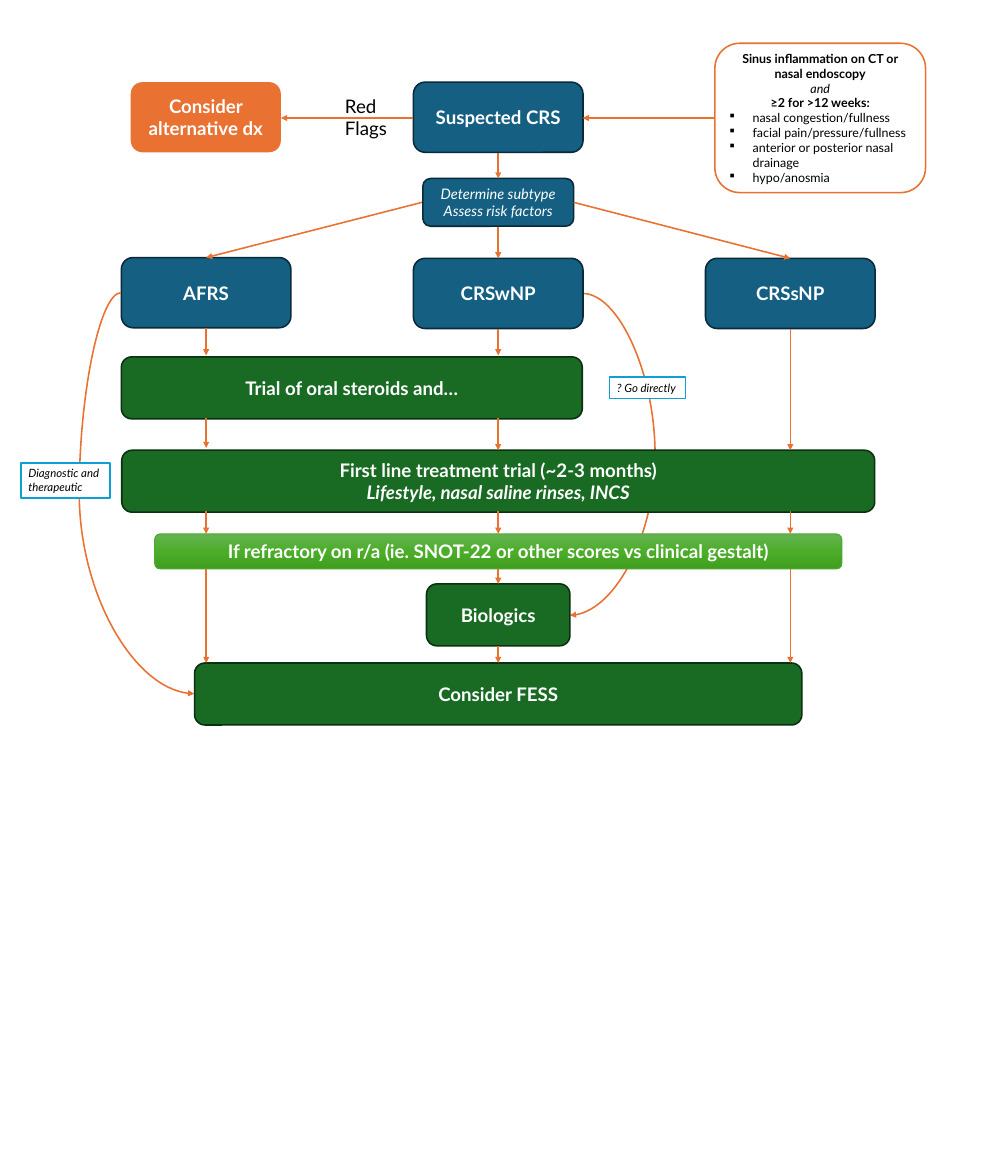
from copy import deepcopy

from pptx import Presentation
from pptx.dml.color import RGBColor
from pptx.enum.shapes import MSO_CONNECTOR as Connector, MSO_SHAPE as Shape
from pptx.enum.text import MSO_ANCHOR as Anchor, MSO_AUTO_SIZE as AutoSize, PP_ALIGN as Align
from pptx.oxml.ns import qn
from pptx.oxml.xmlchemy import OxmlElement
from pptx.util import Inches, Pt

ORANGE, BLUE, BLUE_EDGE = "E97132", "156082", "092A39"
GREEN, GREEN_EDGE, CYAN = "196B24", "0B2F10", "0F9ED5"
WHITE, BLACK = "FFFFFF", "000000"
LEFT, MIDDLE, RIGHT = 2.76, 6.67, 10.58
BOX_WIDTH, BOX_HEIGHT, BAR_HEIGHT = 2.27, 0.94, 0.83


def color(value):
    return RGBColor.from_string(value)


def add_child(parent, tag, **attributes):
    child = OxmlElement(tag)
    for name, value in attributes.items():
        child.set(name, value)
    parent.append(child)
    return child


def write(frame, lines, size, text_color, align, anchor):
    frame.word_wrap = True
    frame.vertical_anchor = anchor
    for index, (text, style) in enumerate(lines):
        paragraph = frame.paragraphs[0] if index == 0 else frame.add_paragraph()
        paragraph.alignment = align
        if "bullet" in style:
            add_bullet(paragraph)
        run = paragraph.add_run()
        run.text = text
        run.font.name = "Lato"
        run.font.size = Pt(size)
        run.font.bold = "bold" in style
        run.font.italic = "italic" in style
        run.font.color.rgb = color(text_color)


def add_bullet(paragraph):
    paragraph.alignment = Align.LEFT
    properties = paragraph._p.get_or_add_pPr()
    properties.set("marL", str(Inches(0.31)))
    properties.set("indent", str(-Inches(0.31)))
    add_child(properties, "a:buFont", typeface="Wingdings", pitchFamily="2", charset="2")
    add_child(properties, "a:buChar", char="§")


def add_box(slide, left, top, width, height, lines, fill, edge=None, size=18,
            text_color=WHITE, kind=Shape.ROUNDED_RECTANGLE, align=Align.CENTER,
            anchor=Anchor.MIDDLE):
    shape = slide.shapes.add_shape(kind, Inches(left), Inches(top), Inches(width), Inches(height))
    shape.shadow.inherit = False
    shape.fill.solid()
    shape.fill.fore_color.rgb = color(fill)
    if edge:
        shape.line.color.rgb = color(edge)
        shape.line.width = Pt(1.5)
    else:
        shape.line.fill.background()
    write(shape.text_frame, lines, size, text_color, align, anchor)
    return shape


def add_centered(slide, center, top, width, height, lines, fill, edge, size=18):
    return add_box(slide, center - width / 2, top, width, height, lines, fill, edge, size)


def add_label(slide, left, top, width, height, text):
    shape = add_box(slide, left, top, width, height, [(text, "italic")], WHITE, CYAN, 11,
                    BLACK, Shape.RECTANGLE, Align.LEFT, Anchor.TOP)
    shape.text_frame.auto_size = AutoSize.SHAPE_TO_FIT_TEXT


def add_note(slide, left, top, width, height, lines):
    box = slide.shapes.add_textbox(Inches(left), Inches(top), Inches(width), Inches(height))
    write(box.text_frame, lines, 18, BLACK, Align.LEFT, Anchor.TOP)
    box.text_frame.auto_size = AutoSize.SHAPE_TO_FIT_TEXT


def add_arrow(slide, x1, y1, x2, y2, kind=Connector.STRAIGHT):
    arrow = slide.shapes.add_connector(kind, Inches(x1), Inches(y1), Inches(x2), Inches(y2))
    arrow.line.color.rgb = color(ORANGE)
    arrow.line.width = Pt(1.5)
    add_child(arrow.line._get_or_add_ln(), "a:tailEnd", type="triangle")
    add_child(arrow._element.spPr, "a:effectLst")
    return arrow


def add_curve(slide, x1, y1, x2, y2, bend):
    curve = add_arrow(slide, x1, y1, x2, y2, Connector.CURVE)
    geometry = curve._element.spPr.find(qn("a:prstGeom"))
    for guides in geometry.findall(qn("a:avLst")):
        geometry.remove(guides)
    ratio = round((bend - x1) / (x2 - x1) * 100000)
    add_child(add_child(geometry, "a:avLst"), "a:gd", name="adj1", fmla=f"val {ratio}")


def fill_gradient(shape, colors):
    shape.fill.gradient()
    shape.fill.gradient_angle = 270
    stops = shape._element.spPr.find(qn("a:gradFill")).find(qn("a:gsLst"))
    while len(stops) < len(colors):
        stops.append(deepcopy(stops[0]))
    for index, (stop, value) in enumerate(zip(shape.fill.gradient_stops, colors)):
        stop.position = index / (len(colors) - 1)
        stop.color.rgb = color(value)


def add_assessment(slide):
    add_centered(slide, MIDDLE, 1.1, BOX_WIDTH, BOX_HEIGHT, [("Suspected CRS", "bold")], BLUE, BLUE_EDGE)
    criteria = [
        ("Sinus inflammation on CT or nasal endoscopy", "bold"),
        ("and", "italic"),
        ("≥2 for >12 weeks:", "bold"),
        ("nasal congestion/fullness", "bullet"),
        ("facial pain/pressure/fullness", "bullet"),
        ("anterior or posterior nasal drainage", "bullet"),
        ("hypo/anosmia", "bullet"),
    ]
    add_box(slide, 9.57, 0.58, 2.82, 2, criteria, WHITE, ORANGE, 12, BLACK)
    add_box(slide, 1.75, 1.1, 2.01, BOX_HEIGHT, [("Consider alternative dx", "bold")], ORANGE)
    add_note(slide, 4.52, 1.22, 0.92, 0.71, [("Red", ""), ("Flags", "")])
    add_centered(slide, MIDDLE, 2.39, 2.02, 0.64,
                 [("Determine subtype", "italic"), ("Assess risk factors", "italic")],
                 BLUE, BLUE_EDGE, 14)
    for center, top, name in ((LEFT, 3.45, "AFRS"), (MIDDLE, 3.46, "CRSwNP"), (RIGHT, 3.46, "CRSsNP")):
        add_centered(slide, center, top, BOX_WIDTH, BOX_HEIGHT, [(name, "bold")], BLUE, BLUE_EDGE)


def add_treatment(slide):
    bars = [
        (4.71, 4.78, 6.17, [("Trial of oral steroids and…", "bold")]),
        (MIDDLE, 6.03, 10.08, [("First line treatment trial (~2-3 months)", "bold"),
                               ("Lifestyle, nasal saline rinses, INCS", "bold italic")]),
        (MIDDLE, 7.82, 1.92, [("Biologics", "bold")]),
        (MIDDLE, 8.88, 8.13, [("Consider FESS", "bold")]),
    ]
    for center, top, width, lines in bars:
        add_centered(slide, center, top, width, BAR_HEIGHT, lines, GREEN, GREEN_EDGE)
    refractory = add_centered(
        slide, MIDDLE, 7.15, 9.2, 0.47,
        [("If refractory on r/a (ie. SNOT-22 or other scores vs clinical gestalt)", "bold")],
        GREEN, "4EA72E")
    refractory.line.width = Pt(1)
    fill_gradient(refractory, ("66B354", "4BAD28", "409F1E"))


def add_arrows(slide):
    for ends in ((5.53, 1.58, 3.76, 1.58), (9.57, 1.58, 7.8, 1.58),
                 (7.68, 2.71, RIGHT, 3.46), (5.65, 2.71, LEFT, 3.45)):
        add_arrow(slide, *ends)
    drops = {
        LEFT: ((4.39, 4.76), (5.6, 6), (6.85, 7.15), (7.62, 8.88)),
        MIDDLE: ((2.05, 2.39), (3.04, 3.46), (4.4, 4.76), (5.6, 6.03),
                 (6.85, 7.15), (7.62, 7.82), (8.65, 8.88)),
        RIGHT: ((4.4, 6.03), (6.85, 7.15), (7.62, 8.88)),
    }
    for center, spans in drops.items():
        for top, bottom in spans:
            add_arrow(slide, center, top, center, bottom)


def main():
    presentation = Presentation()
    presentation.slide_width = Inches(40 / 3)
    presentation.slide_height = Inches(15.75)
    slide = presentation.slides.add_slide(presentation.slide_layouts[6])
    add_curve(slide, 7.8, 3.93, 7.63, 8.24, 8.77)
    add_assessment(slide)
    add_treatment(slide)
    add_arrows(slide)
    add_label(slide, 8.16, 5.05, 1.02, 0.29, "? Go directly")
    add_curve(slide, 1.62, 3.92, 2.6, 9.29, 1.06)
    add_label(slide, 0.28, 6.2, 1.19, 0.47, "Diagnostic and therapeutic")
    presentation.save("out.pptx")


if __name__ == "__main__":
    main()
